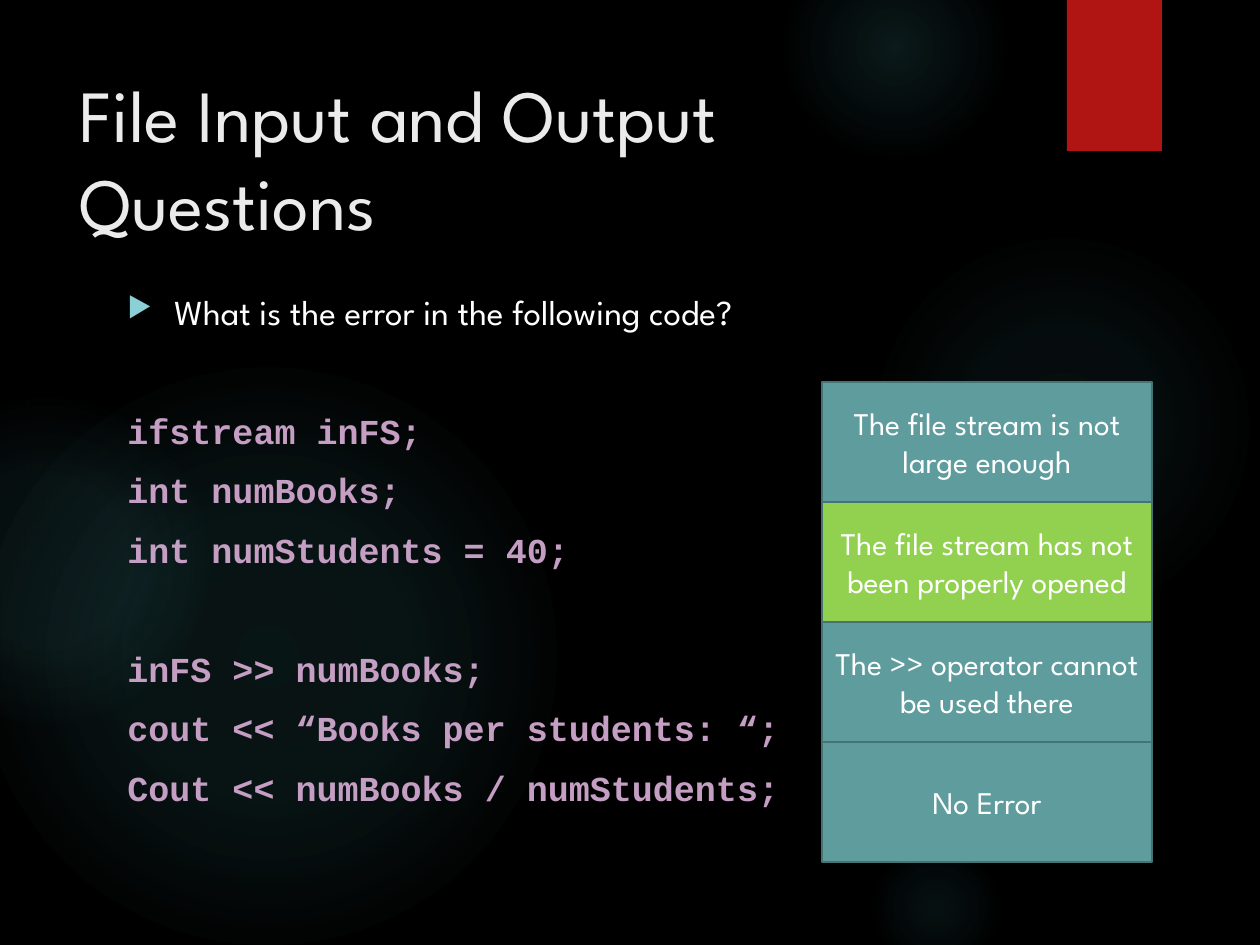
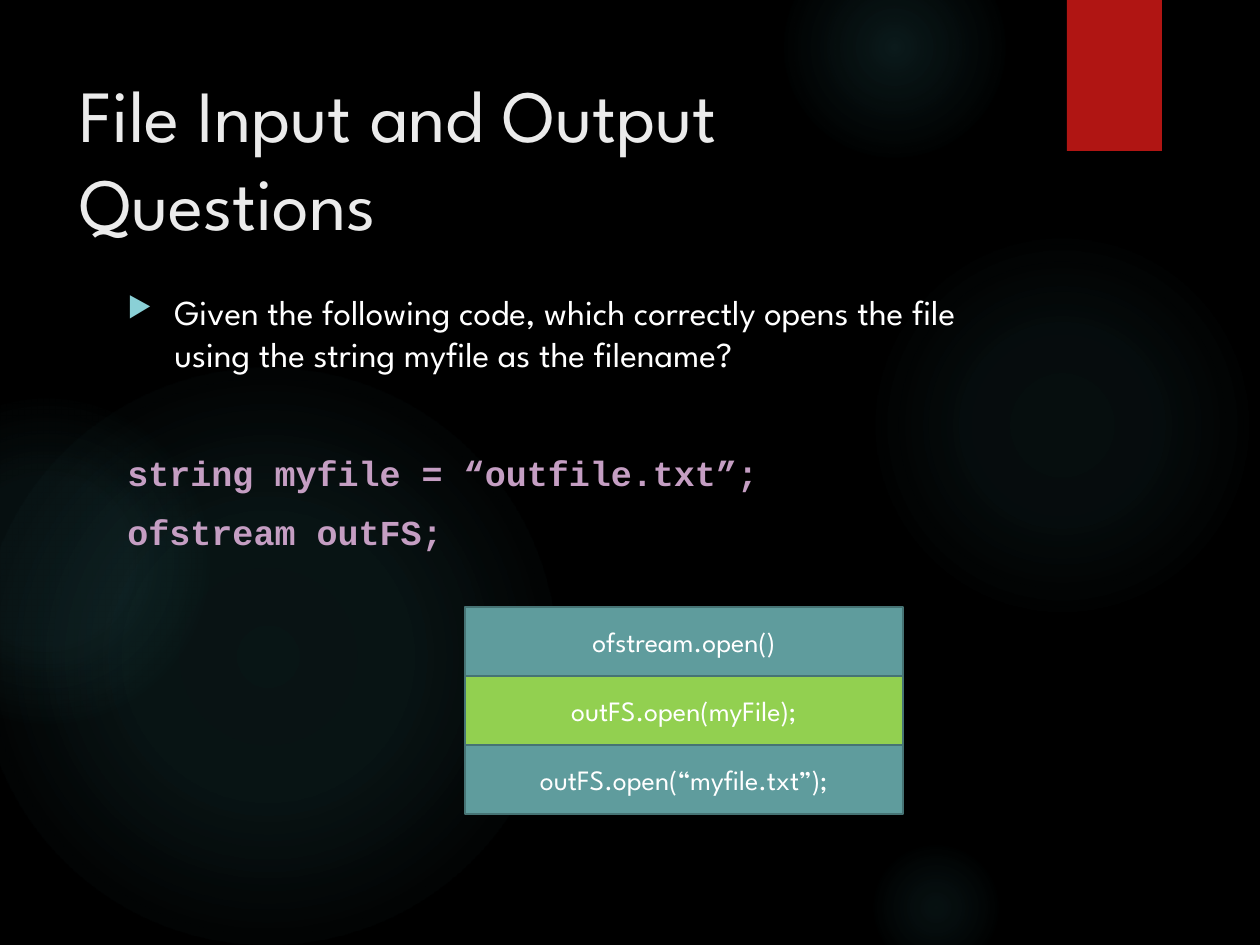
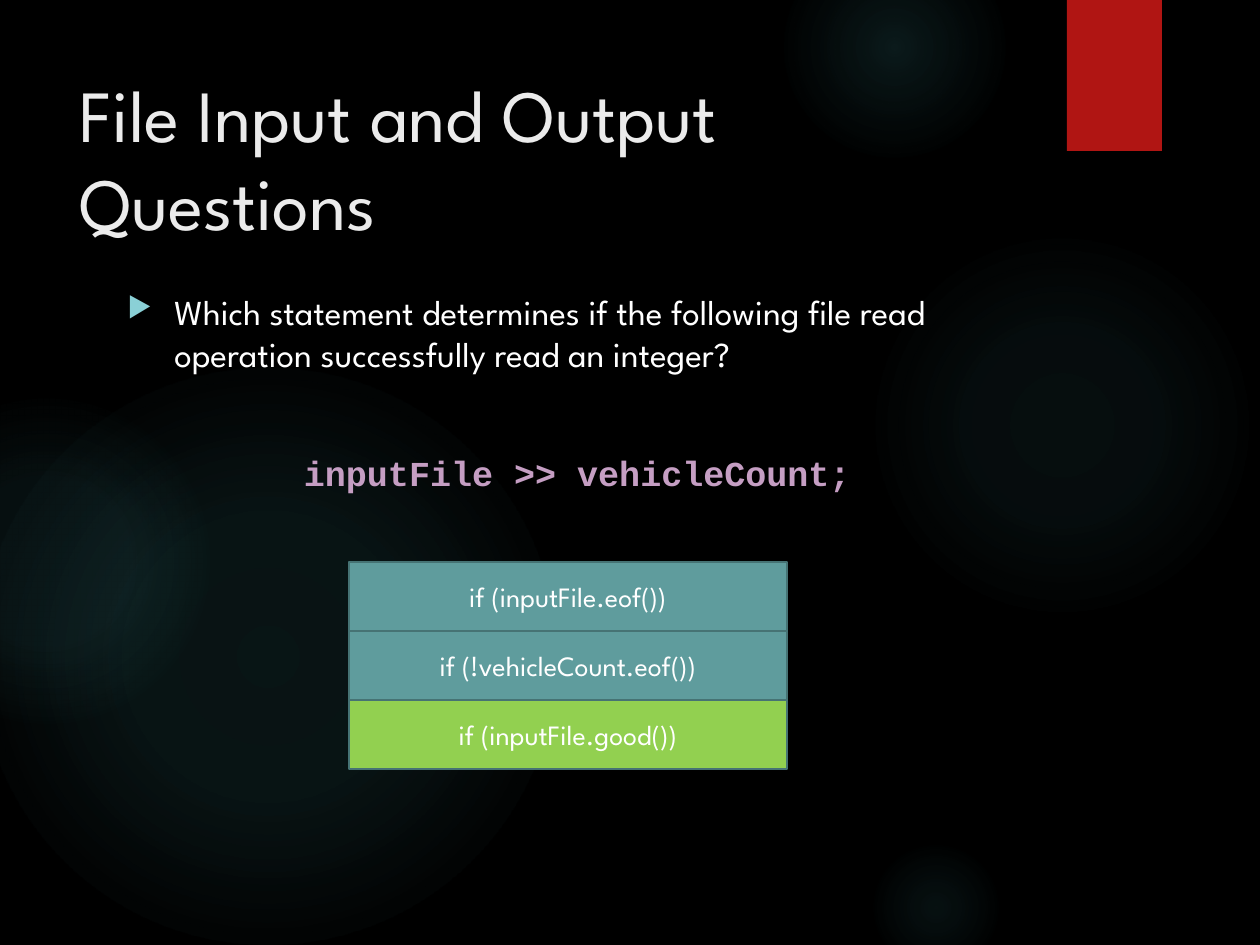
from lxml.etree import SubElement
from pptx import Presentation
from pptx.dml.color import RGBColor
from pptx.enum.shapes import MSO_SHAPE
from pptx.enum.text import MSO_ANCHOR, PP_ALIGN
from pptx.oxml import parse_xml
from pptx.oxml.ns import nsdecls, qn
from pptx.util import Emu, Pt

PX_PER_INCH = 126
SANS, MONO = "League Spartan", "Courier New"
BLACK, WHITE, TITLE_GREY = "000000", "FFFFFF", "EBEBEB"
GLOW, RIBBON_RED, BULLET_TEAL, CODE_PINK = "50B9C1", "B01513", "8AD0D6", "C59EC3"
ANSWER_TEAL, ANSWER_GREEN, ANSWER_EDGE = "5F9C9D", "92D050", "467374"

TITLE = "File Input and Output\vQuestions"
TITLE_BOX = (67, 63, 973, 193)
BODY_BOX = (115, 284, 925, 578)
RIBBON_BOX = (1067, 0, 95, 151)

# Left, top, diameter, then (position %, opacity %) stops
GLOWS = [
    (868, 231, 388, [(0, 7), (36, 6), (69, 0)]),
    (784, -63, 221, [(0, 14), (36, 7), (73, 0)]),
    (868, 840, 136, [(0, 9), (36, 5), (66, 0)]),
    (-21, 368, 577, [(0, 11), (36, 10), (75, 0)]),
    (-116, 399, 325, [(0, 8), (36, 8), (72, 0)]),
]

# Each code block is a list of lines; wide gaps separate the blocks
QUESTIONS = [
    {
        "question": "What is the error in the following code?",
        "code": [
            ["ifstream inFS;", "int numBooks;", "int numStudents = 40;"],
            ["inFS >> numBooks;", "cout << “Books per students: “;",
             "Cout << numBooks / numStudents;"],
        ],
        "align": PP_ALIGN.LEFT,
        "answers": ["The file stream is not large enough",
                    "The file stream has not been properly opened",
                    "The >> operator cannot be used there",
                    "No Error"],
        "correct": 1,
        "answer_box": (822, 382, 330, 480),
        "answer_size": 18,
    },
    {
        "question": "Given the following code, which correctly opens the file "
                    "using the string myfile as the filename?",
        "code": [["string myfile = “outfile.txt”;", "ofstream outFS;"]],
        "align": PP_ALIGN.LEFT,
        "answers": ["ofstream.open()", "outFS.open(myFile);",
                    "outFS.open(“myfile.txt”);"],
        "correct": 1,
        "answer_box": (465, 607, 438, 207),
        "answer_size": 16,
    },
    {
        "question": "Which statement determines if the following file read "
                    "operation successfully read an integer?",
        "code": [["inputFile >> vehicleCount;"]],
        "align": PP_ALIGN.CENTER,
        "answers": ["if (inputFile.eof())", "if (!vehicleCount.eof())",
                    "if (inputFile.good())"],
        "correct": 2,
        "answer_box": (349, 562, 438, 207),
        "answer_size": 16,
    },
]


def px(length):
    return Emu(round(length * 914400 / PX_PER_INCH))


def colour(value):
    return RGBColor.from_string(value)


def style(para, size, fill, font=SANS, bold=False):
    for span in para.runs:
        span.font.name = font
        span.font.size = Pt(size)
        span.font.bold = bold
        span.font.color.rgb = colour(fill)


def add_text_frame(page, box):
    frame = page.shapes.add_textbox(*map(px, box)).text_frame
    frame.word_wrap = True
    return frame


def add_plain_shape(page, kind, box, fill=None):
    shape = page.shapes.add_shape(kind, *map(px, box))
    shape.shadow.inherit = False
    shape.line.fill.background()
    if fill:
        shape.fill.solid()
        shape.fill.fore_color.rgb = colour(fill)
    return shape


def add_glow(page, left, top, diameter, stops):
    glow = add_plain_shape(page, MSO_SHAPE.OVAL, (left, top, diameter, diameter))
    stop_xml = "".join(
        f'<a:gs pos="{position * 1000}"><a:srgbClr val="{GLOW}">'
        f'<a:alpha val="{opacity * 1000}"/></a:srgbClr></a:gs>'
        for position, opacity in stops)
    gradient = parse_xml(
        f'<a:gradFill {nsdecls("a")}><a:gsLst>{stop_xml}</a:gsLst>'
        '<a:path path="circle"><a:fillToRect l="50000" t="50000" r="50000" b="50000"/>'
        '</a:path></a:gradFill>')
    glow.element.spPr.find(qn("a:prstGeom")).addnext(gradient)


def add_ribbon(page):
    ribbon = add_plain_shape(page, MSO_SHAPE.RECTANGLE, RIBBON_BOX, RIBBON_RED)
    effects = ribbon.element.spPr.find(qn("a:effectLst"))
    shadow = SubElement(effects, qn("a:outerShdw"), blurRad=str(Pt(3)),
                        dist=str(Pt(2)), dir="5400000", rotWithShape="0")
    shade = SubElement(shadow, qn("a:srgbClr"), val=BLACK)
    SubElement(shade, qn("a:alpha"), val="45000")


def add_backdrop(page):
    page.background.fill.solid()
    page.background.fill.fore_color.rgb = colour(BLACK)
    for glow in GLOWS:
        add_glow(page, *glow)
    add_ribbon(page)


def add_title(page, box):
    para = add_text_frame(page, box).paragraphs[0]
    para.text = TITLE
    style(para, 42, TITLE_GREY)


def add_bullet(para):
    properties = para._p.get_or_add_pPr()
    properties.set("marL", str(px(47)))
    properties.set("indent", str(px(-47)))
    tint = SubElement(properties, qn("a:buClr"))
    SubElement(tint, qn("a:srgbClr"), val=BULLET_TEAL)
    SubElement(properties, qn("a:buSzPct"), val="80000")
    SubElement(properties, qn("a:buChar"), char="▶")


def add_body(page, box, question, code, align):
    frame = add_text_frame(page, box)
    para = frame.paragraphs[0]
    para.text = question
    add_bullet(para)
    style(para, 20, WHITE)
    for block in code:
        for number, line in enumerate(block):
            para = frame.add_paragraph()
            para.text = line
            para.alignment = align
            para.line_spacing = Pt(24)
            para.space_before = Pt(10 if number else 44)
            style(para, 20, CODE_PINK, MONO, bold=True)


def add_answers(page, box, answers, correct, size):
    left, top, width, height = box
    row_height = height // len(answers)
    for row, answer in enumerate(answers):
        fill = ANSWER_GREEN if row == correct else ANSWER_TEAL
        cell_box = (left, top + row * row_height, width, row_height)
        shape = add_plain_shape(page, MSO_SHAPE.RECTANGLE, cell_box, fill)
        shape.line.color.rgb = colour(ANSWER_EDGE)
        shape.line.width = Pt(1.5)
        frame = shape.text_frame
        frame.word_wrap = True
        frame.vertical_anchor = MSO_ANCHOR.MIDDLE
        para = frame.paragraphs[0]
        para.text = answer
        para.alignment = PP_ALIGN.CENTER
        style(para, size, WHITE)


def add_question_page(deck, item):
    page = deck.slides.add_slide(deck.slide_layouts[6])
    add_backdrop(page)
    add_title(page, TITLE_BOX)
    add_body(page, BODY_BOX, item["question"], item["code"], item["align"])
    add_answers(page, item["answer_box"], item["answers"], item["correct"],
                item["answer_size"])


def main():
    deck = Presentation()
    deck.slide_width, deck.slide_height = px(1260), px(945)
    for item in QUESTIONS:
        add_question_page(deck, item)
    deck.save("out.pptx")


if __name__ == "__main__":
    main()
